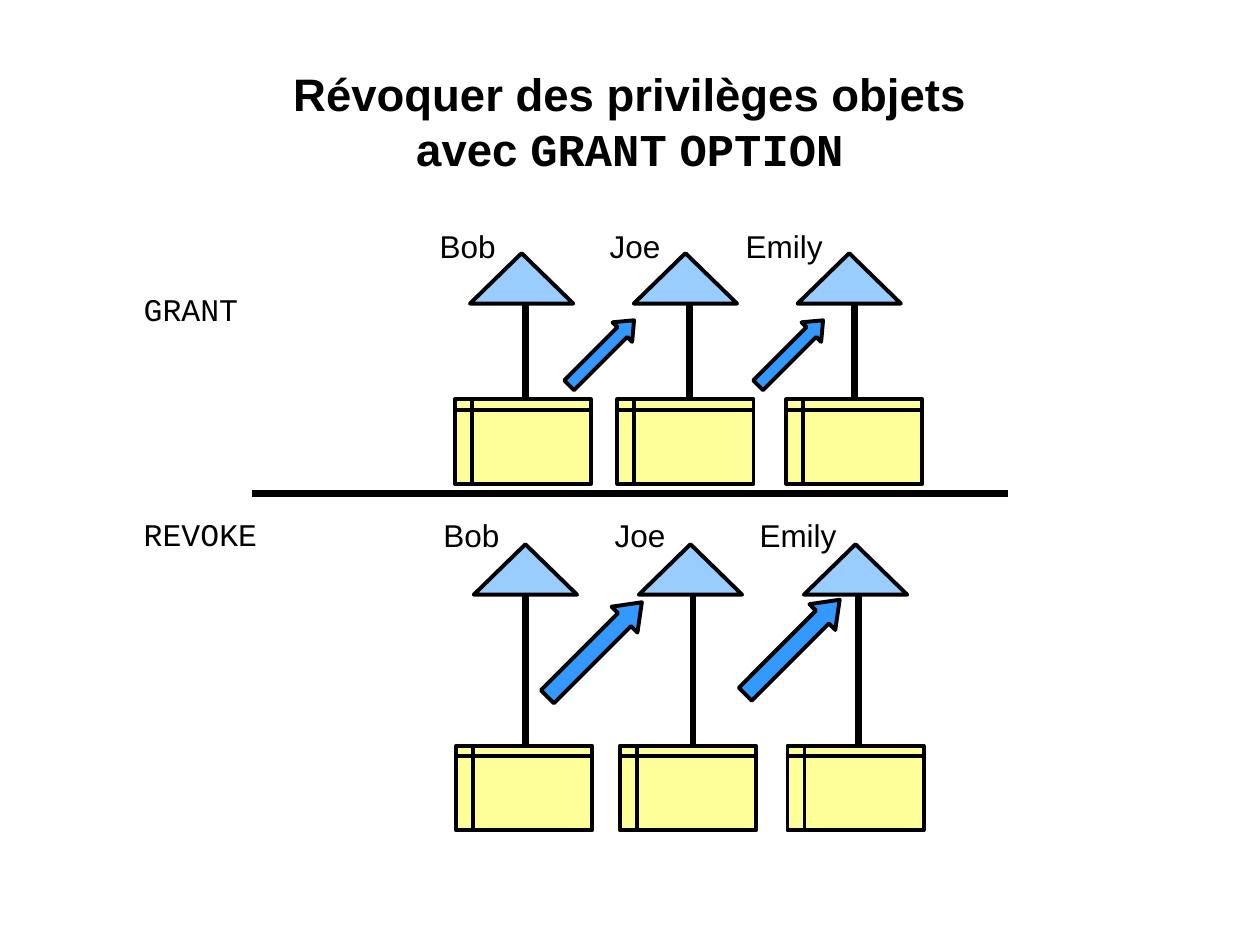
import pptx
import pptx.util
import pptx.dml.color
import pptx.enum.shapes
import pptx.enum.text
import pptx.oxml
from dataclasses import dataclass

SHAPE = pptx.enum.shapes.MSO_SHAPE
STRAIGHT = pptx.enum.shapes.MSO_CONNECTOR.STRAIGHT


@dataclass(frozen=True)
class Theme:
    ink: str = "000000"
    roof: str = "99CCFF"
    arrow: str = "3399FF"
    table: str = "FFFF99"
    sans: str = "Arial"
    mono: str = "Courier New"
    title_size: float = 26
    text_size: float = 18
    outline: float = 2.25
    rule: float = 4


theme = Theme()
rgb = pptx.dml.color.RGBColor.from_string
deck = pptx.Presentation()
deck.slide_width = pptx.util.Inches(10)
deck.slide_height = pptx.util.Inches(7.5)
page = deck.slides.add_slide(deck.slide_layouts[5])
unit = deck.slide_width / 10  # ten columns, square grid cells


def grid(*cells):
    return [round(cell * unit) for cell in cells]


def style(item, width, fill=None):
    """Black outline, optional fill, no shadow."""
    item.line.color.rgb = rgb(theme.ink)
    item.line.width = pptx.util.Pt(width)
    if fill:
        item.fill.solid()
        item.fill.fore_color.rgb = rgb(fill)
        item.shadow.inherit = False
    else:
        item._element.spPr.append(pptx.oxml.parse_xml(
            '<a:effectLst xmlns:a="http://schemas.openxmlformats.org/drawingml/2006/main"/>'))


# Title: sans text with the keywords in the code font
title = page.shapes.title
title.left, title.top, title.width, title.height = grid(0.67, 0.48, 8.66, 0.96)
frame = title.text_frame
frame.word_wrap = True
frame.auto_size = pptx.enum.text.MSO_AUTO_SIZE.NONE
frame.vertical_anchor = pptx.enum.text.MSO_ANCHOR.MIDDLE
frame.margin_left = frame.margin_right = frame.margin_top = frame.margin_bottom = grid(0.01)[0]
para = frame.paragraphs[0]
para.text = "Révoquer des privilèges objets\vavec "
para.alignment = pptx.enum.text.PP_ALIGN.CENTER
for part in ("GRANT", " ", "OPTION"):
    para.add_run().text = part
for span in para.runs:
    span.font.name = theme.mono if span.text in ("GRANT", "OPTION") else theme.sans
    span.font.size = pptx.util.Pt(theme.title_size)
    span.font.bold = True
    span.font.color.rgb = rgb(theme.ink)

# Rule between the two halves
rule = page.shapes.add_connector(STRAIGHT, *grid(2, 3.92, 8, 3.92))
style(rule, theme.rule)

# Each half: one flag and one table per user, arrows from user to user
users = (("Bob", 0.69), ("Joe", 0.65), ("Emily", 0.93))
halves = (
    dict(command="GRANT", command_top=2.25, command_width=1.56,
         roofs=(3.73, 5.03, 6.33), roof_top=2.01,
         masts=(4.17, 5.47, 6.78), mast_top=2.33,
         arrows=((4.41, 2.69), (5.91, 2.69)), arrow_size=(0.73, 0.22), arrow_head=0.6,
         names=(3.39, 4.74, 5.82), name_top=1.75,
         tables=(3.61, 4.9, 6.24), table_top=3.17),
    dict(command="REVOKE", command_top=4.04, command_width=1.82,
         roofs=(3.76, 5.07, 6.38), roof_top=4.32,
         masts=(4.17, 5.5, 6.81), mast_top=4.51,
         arrows=((4.19, 5.01), (5.76, 4.99)), arrow_size=(1.06, 0.29), arrow_head=0.67,
         names=(3.42, 4.78, 5.93), name_top=4.05,
         tables=(3.62, 4.92, 6.25), table_top=5.92),
)
for half in halves:
    group = page.shapes.add_group_shape().shapes

    # Masts, then the roofs that cover their tops
    for x in half["masts"]:
        mast = group.add_connector(
            STRAIGHT, *grid(x, half["mast_top"], x, half["table_top"] + 0.05))
        style(mast, theme.rule)
    for x in half["roofs"]:
        roof = group.add_shape(SHAPE.ISOSCELES_TRIANGLE, *grid(x, half["roof_top"], 0.82, 0.4))
        style(roof, theme.outline, theme.roof)

    # Diagonal arrows
    for place in half["arrows"]:
        arrow = group.add_shape(SHAPE.RIGHT_ARROW, *grid(*place, *half["arrow_size"]))
        arrow.adjustments[1] = half["arrow_head"]
        arrow.rotation = 315
        style(arrow, theme.outline, theme.arrow)

    # Tables
    for x in half["tables"]:
        table = group.add_shape(
            SHAPE.FLOWCHART_INTERNAL_STORAGE, *grid(x, half["table_top"], 1.08, 0.67))
        style(table, theme.outline, theme.table)

    # Command at the left and user names
    labels = [(page.shapes, half["command"], theme.mono,
               (1.05, half["command_top"], half["command_width"], 0.39), 0.09)]
    for (name, width), x in zip(users, half["names"]):
        labels.append((group, name, theme.sans, (x, half["name_top"], width, 0.4), 0.1))
    for parent, text, font, cells, margin in labels:
        box = parent.add_textbox(*grid(*cells))
        frame = box.text_frame
        frame.word_wrap = True
        frame.auto_size = pptx.enum.text.MSO_AUTO_SIZE.SHAPE_TO_FIT_TEXT
        frame.margin_left = frame.margin_right = grid(margin)[0]
        frame.margin_top = frame.margin_bottom = grid(0.05)[0]
        frame.text = text
        span = frame.paragraphs[0].runs[0]
        span.font.name = font
        span.font.size = pptx.util.Pt(theme.text_size)
        span.font.color.rgb = rgb(theme.ink)

deck.save("out.pptx")
